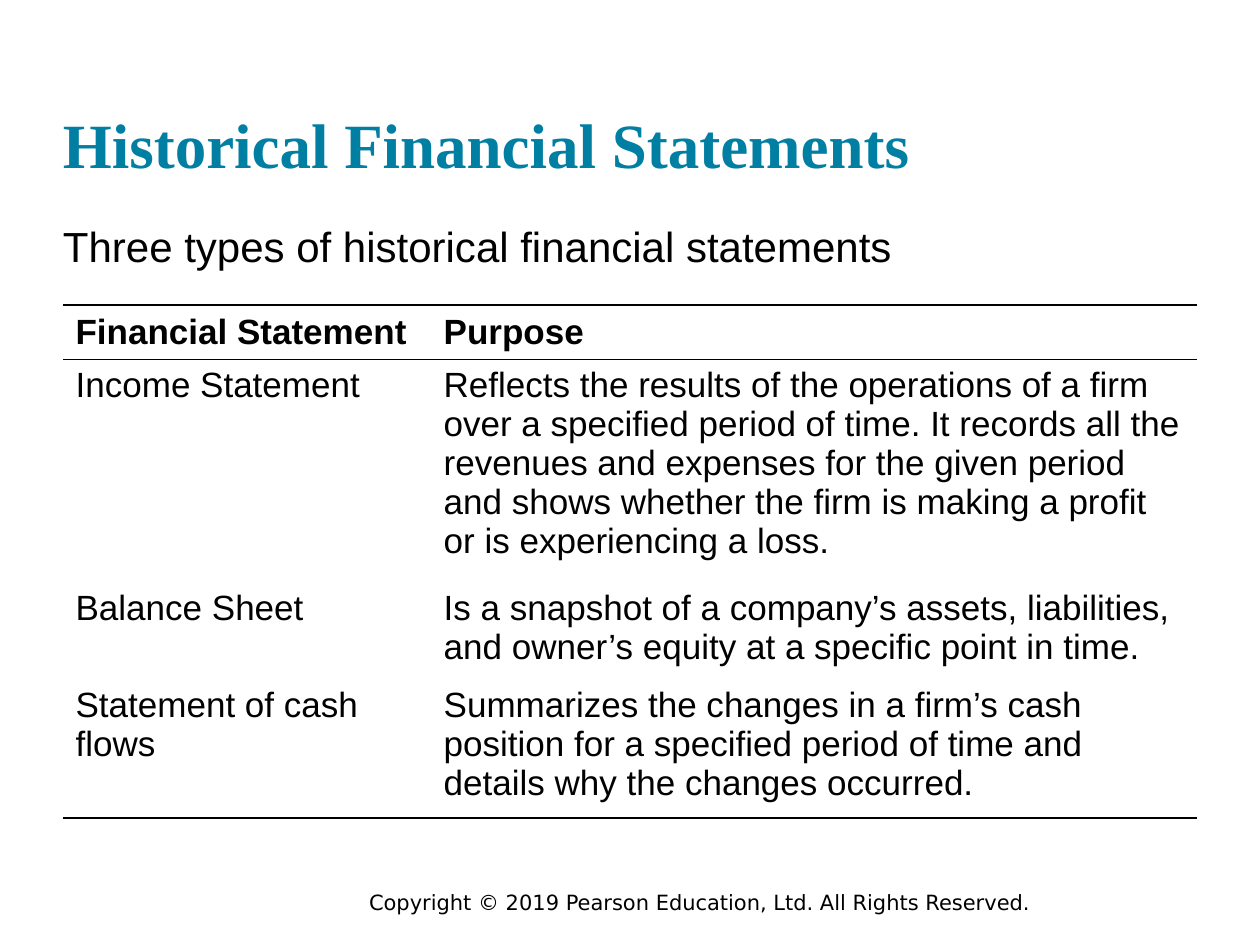
from pptx import Presentation
from pptx.dml.color import RGBColor
from pptx.enum.text import MSO_ANCHOR
from pptx.oxml.ns import qn
from pptx.util import Cm, Pt
from lxml.etree import SubElement

COLORS = {"ink": "000000", "title": "007FA3"}

# Content: text, place in cm (left, top, width, height), inset, anchor, font
TEXTS = [
    ("Historical Financial Statements", (1.27, 0.61, 22.86, 3.05), 0, MSO_ANCHOR.BOTTOM,
     {"name": "Times New Roman", "size": Pt(36), "bold": True}, "title"),
    ("Three types of historical financial statements", (1.27, 1.75 * 2.54, 22.86, 1.27), 0,
     MSO_ANCHOR.TOP, {"name": "Arial", "size": Pt(24)}, "ink"),
    ("Copyright © 2019 Pearson Education, Ltd. All Rights Reserved.",
     (7.19, 17.81, 16.94, 0.76), 0.25, MSO_ANCHOR.TOP,
     {"name": "DejaVu Sans", "size": Pt(12)}, "ink"),
]
STATEMENTS = [
    ("Financial Statement", "Purpose"),
    ("Income Statement",
     "Reflects the results of the operations of a firm over a specified period of time. "
     "It records all the revenues and expenses for the given period and shows whether "
     "the firm is making a profit or is experiencing a loss."),
    ("Balance Sheet",
     "Is a snapshot of a company’s assets, liabilities, and owner’s equity "
     "at a specific point in time."),
    ("Statement of cash flows",
     "Summarizes the changes in a firm’s cash position for a specified period of time "
     "and details why the changes occurred."),
]
TABLE_PLACE = (1.27, 6.15)
COLUMN_WIDTHS = (7.42, 15.44)
ROW_HEIGHTS = (1.04, 4.19, 1.82, 2.61)


def style_font(font, formats, color):
    for name, value in formats.items():
        setattr(font, name, value)
    font.color.rgb = RGBColor.from_string(COLORS[color])


def set_borders(cell, ruled):
    properties = cell._tc.get_or_add_tcPr()
    for side in "LRTB":
        line = SubElement(properties, qn(f"a:ln{side}"), w=str(Pt(1)))
        if side in ruled:
            fill = SubElement(line, qn("a:solidFill"))
            SubElement(fill, qn("a:srgbClr"), val=COLORS["ink"])
        else:
            SubElement(line, qn("a:noFill"))


deck = Presentation()
deck.slide_width, deck.slide_height = Cm(25.4), Cm(19.05)
page = deck.slides.add_slide(deck.slide_layouts[6])

# Title, lead line and footer
for text, place, inset, anchor, formats, color in TEXTS:
    box = page.shapes.add_textbox(*map(Cm, place))
    frame = box.text_frame
    frame.word_wrap = True
    frame.vertical_anchor = anchor
    for side in ("left", "right"):
        setattr(frame, f"margin_{side}", Cm(inset))
    for side in ("top", "bottom"):
        setattr(frame, f"margin_{side}", Cm(inset / 2))
    span = frame.paragraphs[0].add_run()
    span.text = text
    style_font(span.font, formats, color)

# Table of statements, ruled around the header and at the bottom
table = page.shapes.add_table(
    len(STATEMENTS), len(COLUMN_WIDTHS), *map(Cm, TABLE_PLACE),
    Cm(sum(COLUMN_WIDTHS)), Cm(sum(ROW_HEIGHTS))).table
table.first_row = table.horz_banding = False
for column, width in zip(table.columns, COLUMN_WIDTHS):
    column.width = Cm(width)
for index, (row, height, texts) in enumerate(zip(table.rows, ROW_HEIGHTS, STATEMENTS)):
    row.height = Cm(height)
    header = index == 0
    ruled = {0: "TB", 1: "T", len(STATEMENTS) - 1: "B"}.get(index, "")
    for cell, text in zip(row.cells, texts):
        set_borders(cell, ruled)
        cell.fill.background()
        cell.vertical_anchor = MSO_ANCHOR.MIDDLE if header else MSO_ANCHOR.TOP
        span = cell.text_frame.paragraphs[0].add_run()
        span.text = text
        style_font(span.font, {"name": "Arial", "size": Pt(20), "bold": header}, "ink")

deck.save("out.pptx")
